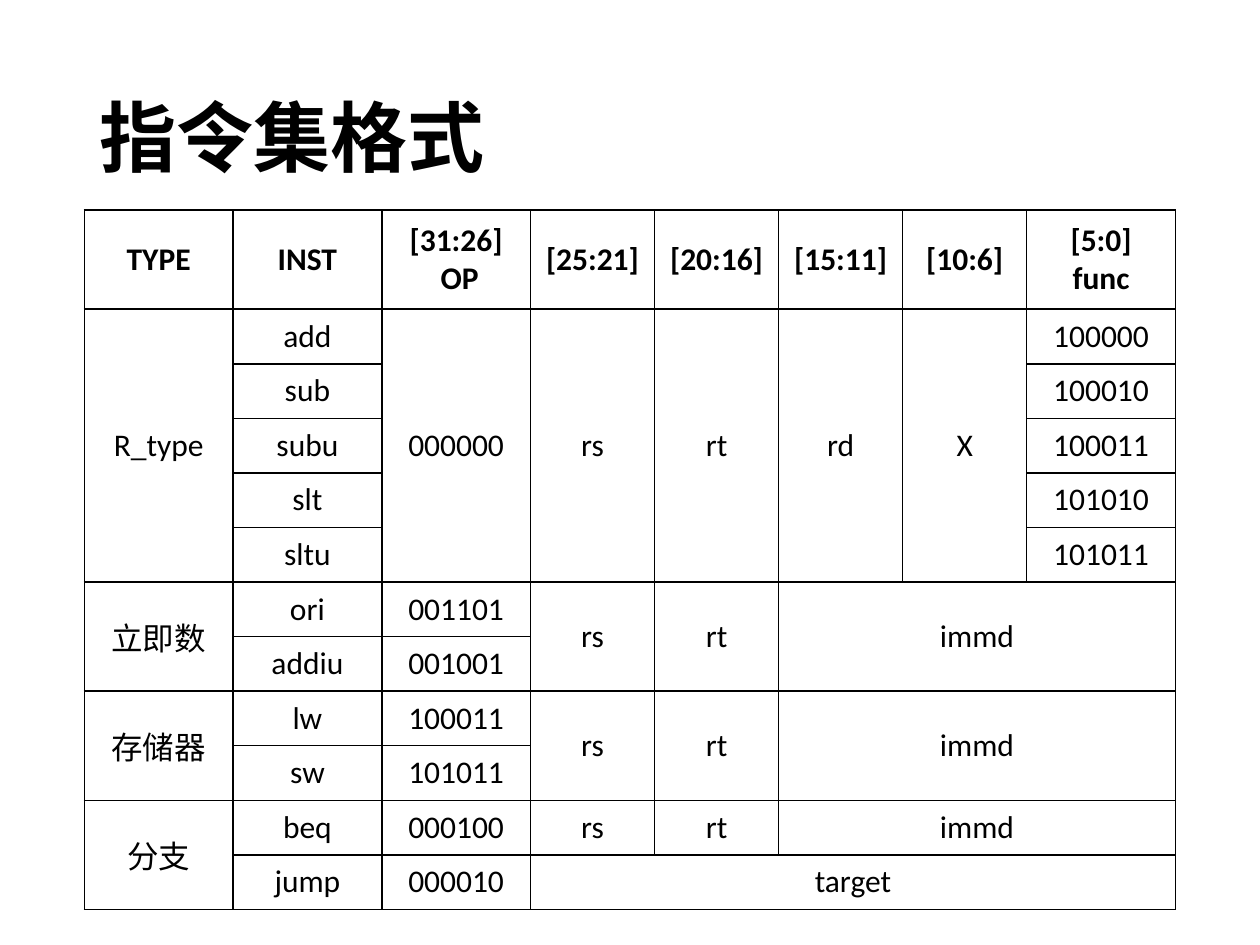
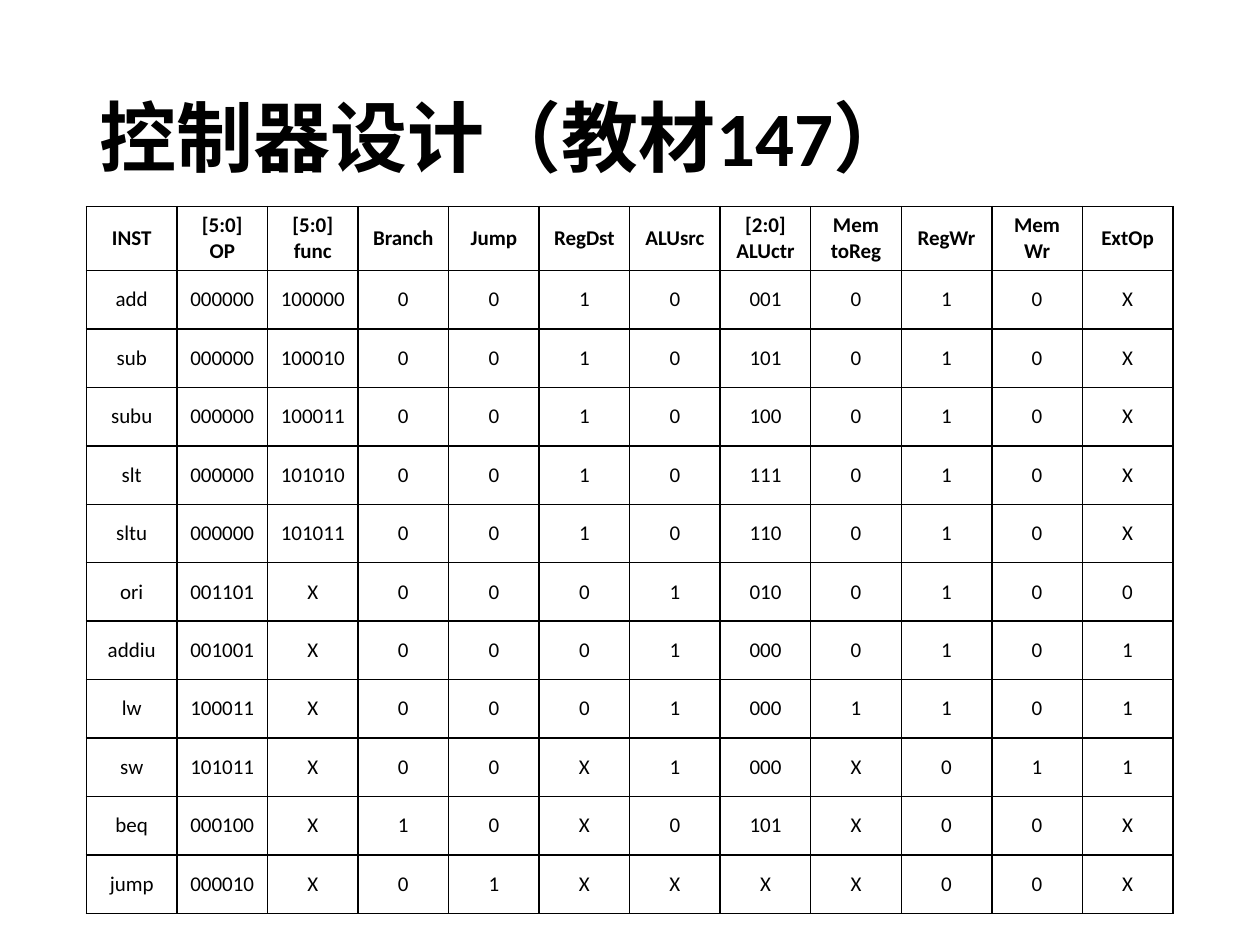
"""Builds two slides of tables: instruction set formats and controller signals."""
from itertools import takewhile

from lxml import etree
from pptx import Presentation
from pptx.dml.color import RGBColor
from pptx.enum import text
from pptx.oxml import ns
from pptx.util import Pt

COLOURS = {"ink": "000000", "paper": "FFFFFF"}
FONT = "Calibri"
TITLE_BOX = {"left": 49.7, "top": 28.8, "width": 620.6, "height": 104.4}
BORDER_WIDTH = 1
ABOVE, BEFORE = "^", "<"

FORMAT_ROWS = [
    ["TYPE", "INST", "[31:26]\n OP", "[25:21]", "[20:16]", "[15:11]", "[10:6]", "[5:0]\nfunc"],
    ["R_type", "add", "000000", "rs", "rt", "rd", "X", "100000"],
    ["^", "sub", "^", "^", "^", "^", "^", "100010"],
    ["^", "subu", "^", "^", "^", "^", "^", "100011"],
    ["^", "slt", "^", "^", "^", "^", "^", "101010"],
    ["^", "sltu", "^", "^", "^", "^", "^", "101011"],
    ["立即数", "ori", "001101", "rs", "rt", "immd", "<", "<"],
    ["^", "addiu", "001001", "^", "^", "^", "<", "<"],
    ["存储器", "lw", "100011", "rs", "rt", "immd", "<", "<"],
    ["^", "sw", "101011", "^", "^", "^", "<", "<"],
    ["分支", "beq", "000100", "rs", "rt", "immd", "<", "<"],
    ["^", "jump", "000010", "target", "<", "<", "<", "<"],
]

SIGNAL_HEADERS = ["INST", "[5:0]\nOP", "[5:0]\nfunc", "Branch", "Jump", "RegDst", "ALUsrc",
                  "[2:0]\nALUctr", "Mem\ntoReg", "RegWr", "Mem\nWr", "ExtOp"]
SIGNAL_LINES = [
    "add 000000 100000 0 0 1 0 001 0 1 0 X",
    "sub 000000 100010 0 0 1 0 101 0 1 0 X",
    "subu 000000 100011 0 0 1 0 100 0 1 0 X",
    "slt 000000 101010 0 0 1 0 111 0 1 0 X",
    "sltu 000000 101011 0 0 1 0 110 0 1 0 X",
    "ori 001101 X 0 0 0 1 010 0 1 0 0",
    "addiu 001001 X 0 0 0 1 000 0 1 0 1",
    "lw 100011 X 0 0 0 1 000 1 1 0 1",
    "sw 101011 X 0 0 X 1 000 X 0 1 1",
    "beq 000100 X 1 0 X 0 101 X 0 0 X",
    "jump 000010 X 0 1 X X X X 0 0 X",
]

PAGES = [
    {"title": "指令集格式", "rows": FORMAT_ROWS, "left": 48.2, "top": 120, "size": 18,
     "widths": [85] * 3 + [70.9] * 4 + [85], "header": 56.7, "row": 31.2},
    {"title": "控制器设计（教材147）",
     "rows": [SIGNAL_HEADERS] + [line.split() for line in SIGNAL_LINES],
     "left": 49.4, "top": 118.1, "size": 12,
     "widths": [51.75] * 12, "header": 36.5, "row": 33.4},
]


def colour(name):
    return RGBColor.from_string(COLOURS[name])


def style_font(font, size, bold):
    for name, value in {"name": FONT, "size": Pt(size), "bold": bold}.items():
        setattr(font, name, value)
    font.color.rgb = colour("ink")


def add_title(page, words):
    title = page.shapes.title
    for side, length in TITLE_BOX.items():
        setattr(title, side, Pt(length))
    frame = title.text_frame
    frame.text = words
    for name, value in {"auto_size": text.MSO_AUTO_SIZE.NONE, "word_wrap": True,
                        "vertical_anchor": text.MSO_ANCHOR.MIDDLE}.items():
        setattr(frame, name, value)
    para = frame.paragraphs[0]
    para.alignment = text.PP_ALIGN.LEFT
    para.line_spacing = 0.9
    style_font(para.runs[0].font, 44, True)


def add_borders(cell):
    properties = cell._tc.get_or_add_tcPr()
    for position, side in enumerate(("lnL", "lnR", "lnT", "lnB")):
        line = etree.Element(ns.qn(f"a:{side}"), w=str(Pt(BORDER_WIDTH)))
        fill = etree.SubElement(line, ns.qn("a:solidFill"))
        etree.SubElement(fill, ns.qn("a:srgbClr"), val=COLOURS["ink"])
        properties.insert(position, line)


def fill_cell(cell, words, size, bold):
    cell.text = words
    cell.vertical_anchor = text.MSO_ANCHOR.MIDDLE
    for para in cell.text_frame.paragraphs:
        para.alignment = text.PP_ALIGN.CENTER
        for span in para.runs:
            style_font(span.font, size, bold)


def count_marks(marks, mark):
    return len(list(takewhile(lambda entry: entry == mark, marks)))


def add_grid(page, content):
    rows, widths = content["rows"], content["widths"]
    heights = [content["header"]] + [content["row"]] * (len(rows) - 1)
    table = page.shapes.add_table(
        len(rows), len(widths), Pt(content["left"]), Pt(content["top"]),
        Pt(sum(widths)), Pt(sum(heights))).table
    table.horz_banding = False
    for column, width in zip(table.columns, widths):
        column.width = Pt(width)
    for row, height in zip(table.rows, heights):
        row.height = Pt(height)
    for r, entries in enumerate(rows):
        for c, words in enumerate(entries):
            cell = table.cell(r, c)
            cell.fill.solid()
            cell.fill.fore_color.rgb = colour("paper")
            add_borders(cell)
            if words in (ABOVE, BEFORE):
                continue
            fill_cell(cell, words, content["size"], r == 0)
            down = count_marks((below[c] for below in rows[r + 1:]), ABOVE)
            across = count_marks(entries[c + 1:], BEFORE)
            if down or across:
                cell.merge(table.cell(r + down, c + across))


def main():
    deck = Presentation()
    deck.slide_width, deck.slide_height = Pt(720), Pt(540)
    for content in PAGES:
        page = deck.slides.add_slide(deck.slide_layouts[5])
        add_title(page, content["title"])
        add_grid(page, content)
    deck.save("out.pptx")


if __name__ == "__main__":
    main()
